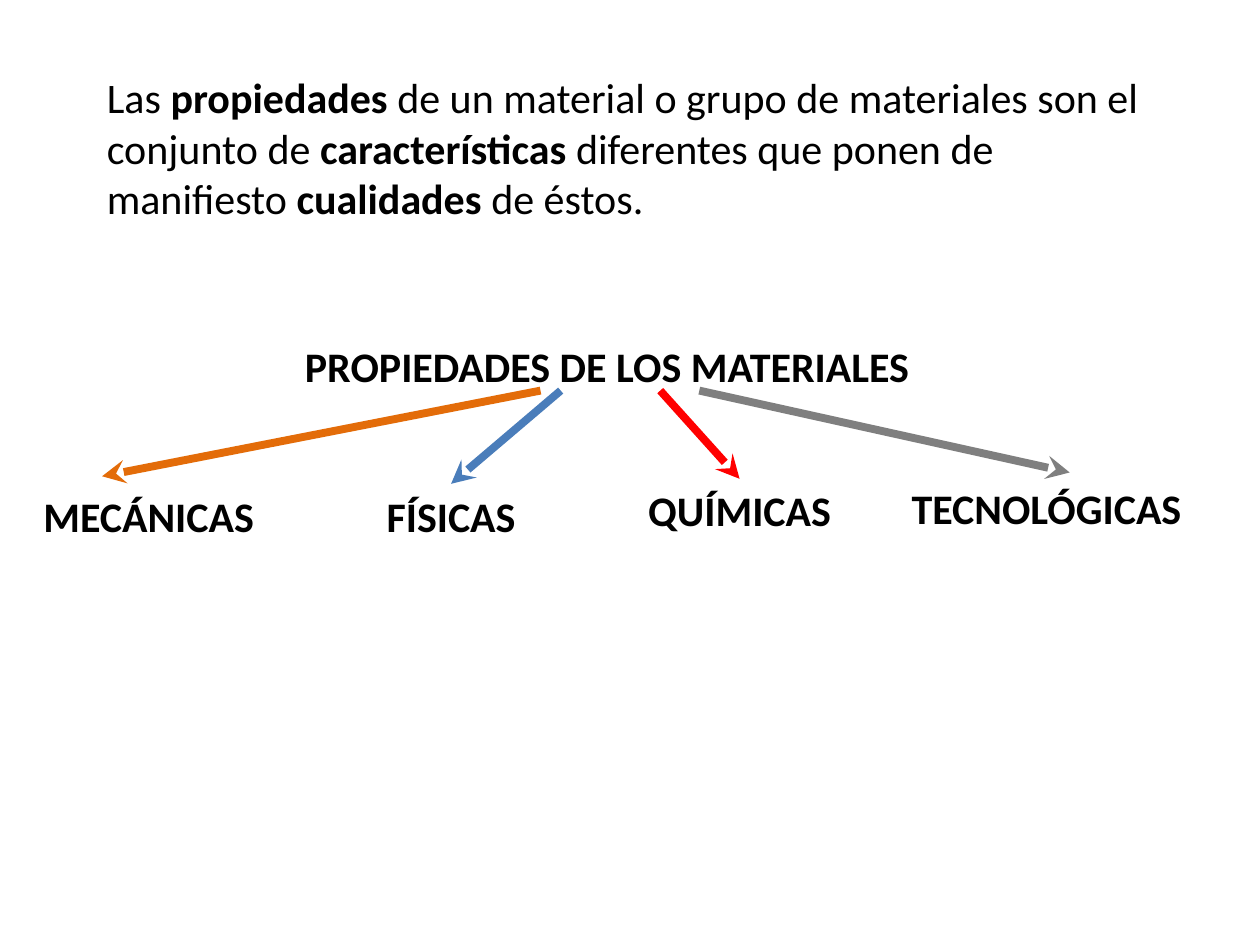
from typing import NamedTuple

from lxml import etree
from pptx import Presentation
from pptx.dml.color import RGBColor
from pptx.enum.shapes import MSO_CONNECTOR
from pptx.enum.text import MSO_ANCHOR, MSO_AUTO_SIZE, PP_ALIGN
from pptx.oxml.ns import qn
from pptx.util import Inches, Pt

STRAIGHT = MSO_CONNECTOR.STRAIGHT
TOP = MSO_ANCHOR.TOP
FIT = MSO_AUTO_SIZE.SHAPE_TO_FIT_TEXT
LEFT, CENTER, JUSTIFY = PP_ALIGN.LEFT, PP_ALIGN.CENTER, PP_ALIGN.JUSTIFY
FONT = "Calibri"
SIZE = 24
ROW = 0.5    # height of a one-line box
START = 3.1  # where all arrows leave the heading


class Run(NamedTuple):
    text: str
    bold: bool = False


class Label(NamedTuple):
    text: str
    left: float
    top: float
    width: float


class Arrow(NamedTuple):
    start: float
    end: tuple[float, float]
    color: str


INTRO = [
    Run("Las "),
    Run("propiedades", True),
    Run(" de un material o grupo de materiales son el conjunto de "),
    Run("características", True),
    Run(" diferentes que ponen de manifiesto "),
    Run("cualidades", True),
    Run(" de éstos."),
]
LABELS = [
    Label("MECÁNICAS", -0.63, 3.84, 3.62),
    Label("FÍSICAS", 1.77, 3.84, 3.62),
    Label("QUÍMICAS", 4.06, 3.8, 3.62),
    Label("TECNOLÓGICAS", 6.73, 3.78, 3.15),
]
ARROWS = [
    Arrow(4.29, (0.81, 3.78), "E36C09"),
    Arrow(4.45, (3.58, 3.84), "4A7DBA"),
    Arrow(5.55, (8.49, 3.75), "7F7F7F"),
    Arrow(5.24, (5.87, 3.8), "FF0000"),
]


def paint(target, color: str) -> None:
    target.rgb = RGBColor.from_string(color)


def write(shape, runs: list[Run], align: PP_ALIGN) -> None:
    frame = shape.text_frame
    frame.word_wrap = True
    frame.auto_size = FIT
    frame.vertical_anchor = TOP
    para = frame.paragraphs[0]
    para.alignment = align
    for text, bold in runs:
        run = para.add_run()
        run.text = text
        run.font.name = FONT
        run.font.size = Pt(SIZE)
        run.font.bold = bold
        paint(run.font.color, "000000")


def add_text(slide, box: tuple[float, ...], runs: list[Run], align: PP_ALIGN) -> None:
    shape = slide.shapes.add_textbox(*map(Inches, box))
    write(shape, runs, align)


def add_arrow(slide, arrow: Arrow) -> None:
    ends = (arrow.start, START, *arrow.end)
    link = slide.shapes.add_connector(STRAIGHT, *map(Inches, ends))
    link.line.width = Pt(4.5)
    paint(link.line.color, arrow.color)
    props = link._element.spPr
    etree.SubElement(props.find(qn("a:ln")), qn("a:tailEnd"), type="stealth")
    etree.SubElement(props, qn("a:effectLst"))


def main() -> None:
    deck = Presentation()
    deck.slide_width, deck.slide_height = Inches(10), Inches(7.5)
    slide = deck.slides.add_slide(deck.slide_layouts[5])

    # Definition
    add_text(slide, (0.75, 0.52, 8.74, 1.31), INTRO, LEFT)

    # Heading of the tree
    title = slide.shapes.title
    title.left, title.top = Inches(2.32), Inches(2.65)
    title.width, title.height = Inches(5.43), Inches(ROW)
    write(title, [Run("PROPIEDADES DE LOS MATERIALES", True)], JUSTIFY)

    # Branches
    for text, left, top, width in LABELS:
        add_text(slide, (left, top, width, ROW), [Run(text, True)], CENTER)
    for arrow in ARROWS:
        add_arrow(slide, arrow)

    deck.save("out.pptx")


if __name__ == "__main__":
    main()
